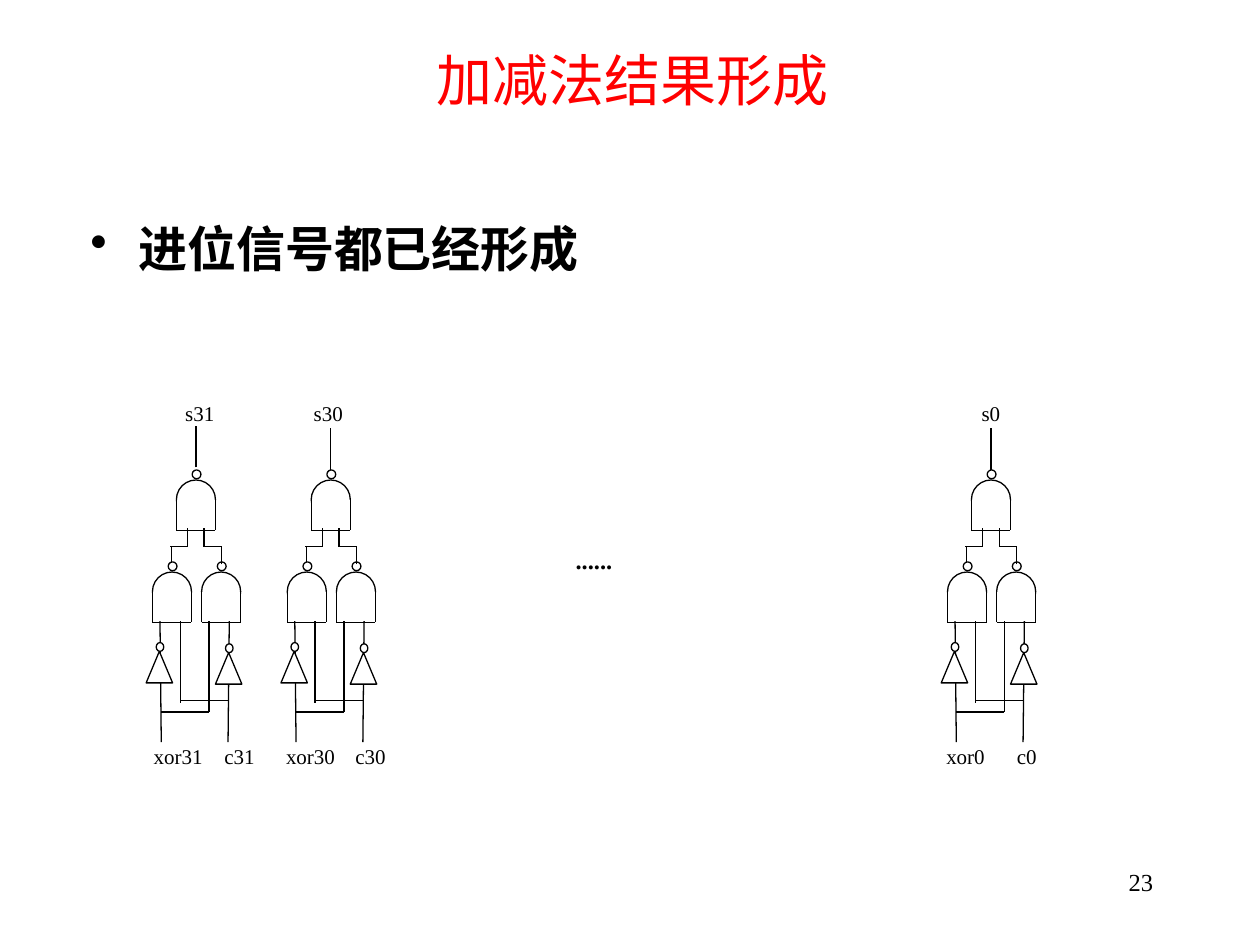
"""Build the slide on forming addition and subtraction results."""
import pptx
import pptx.dml.color
import pptx.enum.shapes
import pptx.enum.text
import pptx.oxml
import pptx.oxml.ns
import pptx.util

Inches = pptx.util.Inches
Pt = pptx.util.Pt
Shapes = pptx.enum.shapes.MSO_SHAPE
Align = pptx.enum.text.PP_ALIGN
BLACK = pptx.dml.color.RGBColor(0, 0, 0)
WHITE = pptx.dml.color.RGBColor(255, 255, 255)
RED = pptx.dml.color.RGBColor(255, 0, 0)
SERIF = "Times New Roman"

CELLS = ((1.21, 3.38), (2.28, 3.4), (7.52, 3.4))
GATES = ((0, 4.54), (0.39, 4.54), (0.19, 3.81))
WIRES = (
    (0.28, 4.34, 0.28, 4.19), (0.41, 4.34, 0.41, 4.19),
    (0.28, 4.34, 0.14, 4.34), (0.15, 4.46, 0.15, 4.34),
    (0.55, 4.34, 0.41, 4.34), (0.55, 4.48, 0.55, 4.34),
    (0.07, 5.89, 0.06, 4.93), (0.6, 5.89, 0.61, 4.93),
    (0.22, 4.93, 0.22, 5.58), (0.22, 5.56, 0.61, 5.56),
    (0.07, 5.65, 0.45, 5.65), (0.45, 4.93, 0.45, 5.65),
)
INVERTERS = ((0.5, 5.18), (-0.05, 5.17))


def add_xml(parent, markup):
    parent.append(pptx.oxml.parse_xml(
        markup.replace("/>", f' {pptx.oxml.ns.nsdecls("a")}/>', 1)
        if markup.endswith("/>") else
        markup.replace(">", f' {pptx.oxml.ns.nsdecls("a")}>', 1)))


def write(shape, text, size=12, font=SERIF, color=BLACK, bold=False,
          align=Align.JUSTIFY, anchor=pptx.enum.text.MSO_ANCHOR.TOP,
          margins=(0.1, 0.05), tabs=(), bullet=False):
    frame = shape.text_frame
    frame.word_wrap = True
    frame.vertical_anchor = anchor
    frame.margin_left = frame.margin_right = Inches(margins[0])
    frame.margin_top = frame.margin_bottom = Inches(margins[1])
    paragraph = frame.paragraphs[0]
    paragraph.alignment = align
    run = paragraph.add_run()
    run.text = text
    run.font.size = Pt(size)
    run.font.name = font
    run.font.bold = bold
    run.font.color.rgb = color
    properties = paragraph._p.get_or_add_pPr()
    if bullet:
        paragraph.line_spacing = 1.1
        paragraph.space_before = Pt(3.5)
        properties.set("marL", str(Inches(0.38)))
        properties.set("indent", str(Inches(-0.38)))
        add_xml(properties, '<a:buChar char="•"/>')
    if tabs:
        stops = "".join(f'<a:tab pos="{Inches(stop)}" algn="l"/>' for stop in tabs)
        add_xml(properties, f"<a:tabLst>{stops}</a:tabLst>")


class Drawing:
    """Hold the line style and current slide, and draw circuit elements."""

    def __init__(self, slide, line_width=0.75):
        self.slide = slide
        self.line_width = Pt(line_width)

    def shape(self, kind, left, top, width, height, outlined=True):
        shape = self.slide.shapes.add_shape(
            kind, Inches(left), Inches(top), Inches(width), Inches(height))
        shape.shadow.inherit = False
        shape.fill.solid()
        shape.fill.fore_color.rgb = WHITE
        if outlined:
            shape.line.color.rgb = BLACK
            shape.line.width = self.line_width
        else:
            shape.line.fill.background()
        return shape

    def line(self, x1, y1, x2, y2):
        connector = self.slide.shapes.add_connector(
            pptx.enum.shapes.MSO_CONNECTOR.STRAIGHT,
            Inches(x1), Inches(y1), Inches(x2), Inches(y2))
        connector.line.color.rgb = BLACK
        connector.line.width = self.line_width
        add_xml(connector._element.spPr, "<a:effectLst/>")

    def text(self, text, left, top, width, height, **style):
        box = self.slide.shapes.add_textbox(
            Inches(left), Inches(top), Inches(width), Inches(height))
        write(box, text, **style)

    def gate(self, left, top):
        right, bottom = left + 0.31, top + 0.4
        self.shape(Shapes.OVAL, left, top, 0.31, 0.31)
        self.line(left, bottom, right, bottom)
        self.shape(Shapes.RECTANGLE, left, top + 0.16, 0.31, 0.16, outlined=False)
        for side in (left, right):
            self.line(side, top + 0.14, side, bottom)
        self.shape(Shapes.OVAL, left + 0.125, top - 0.08, 0.07, 0.07)

    def inverter(self, left, top):
        triangle = self.shape(Shapes.FLOWCHART_MERGE, left, top, 0.21, 0.25)
        triangle._element.spPr.xfrm.set("flipV", "1")
        self.shape(Shapes.OVAL, left + 0.08, top - 0.07, 0.06, 0.07)

    def cell(self, left, output_top):
        for x, y in GATES:
            self.gate(left + x, y)
        for x1, y1, x2, y2 in WIRES:
            self.line(left + x1, y1, left + x2, y2)
        for x, y in INVERTERS:
            self.inverter(left + x, y)
        self.line(left + 0.345, output_top + 0.33, left + 0.345, output_top)


def main():
    presentation = pptx.Presentation()
    presentation.slide_width = Inches(10)
    presentation.slide_height = Inches(7.5)
    slide = presentation.slides.add_slide(presentation.slide_layouts[6])
    drawing = Drawing(slide)
    for left, output_top in CELLS:
        drawing.cell(left, output_top)
    drawing.text("xor31\tc31\txor30\tc30\txor0\tc0", 1.22, 5.9, 7.08, 0.2,
                 margins=(0, 0), align=Align.LEFT, tabs=(0.56, 1.05, 1.6, 6.29, 6.85))
    drawing.text("\ts31\ts30\ts0", 1.3, 3.18, 6.93, 0.2,
                 margins=(0, 0), align=Align.LEFT, tabs=(0.17, 1.19, 6.49))
    ellipsis = drawing.shape(Shapes.RECTANGLE, 4.47, 4.28, 0.66, 0.77, outlined=False)
    write(ellipsis, "......", size=14, bold=True)
    drawing.text("进位信号都已经形成", 0.62, 1.64, 8.5, 1.28,
                 size=28, bold=True, align=Align.LEFT, bullet=True)
    drawing.text("加减法结果形成", 0.77, 0, 8.5, 1.25, size=32, font="Arial", color=RED,
                 align=Align.CENTER, anchor=pptx.enum.text.MSO_ANCHOR.MIDDLE)
    drawing.text("23", 7.17, 6.83, 2.08, 0.5, size=14, align=Align.RIGHT)
    presentation.save("out.pptx")


if __name__ == "__main__":
    main()
